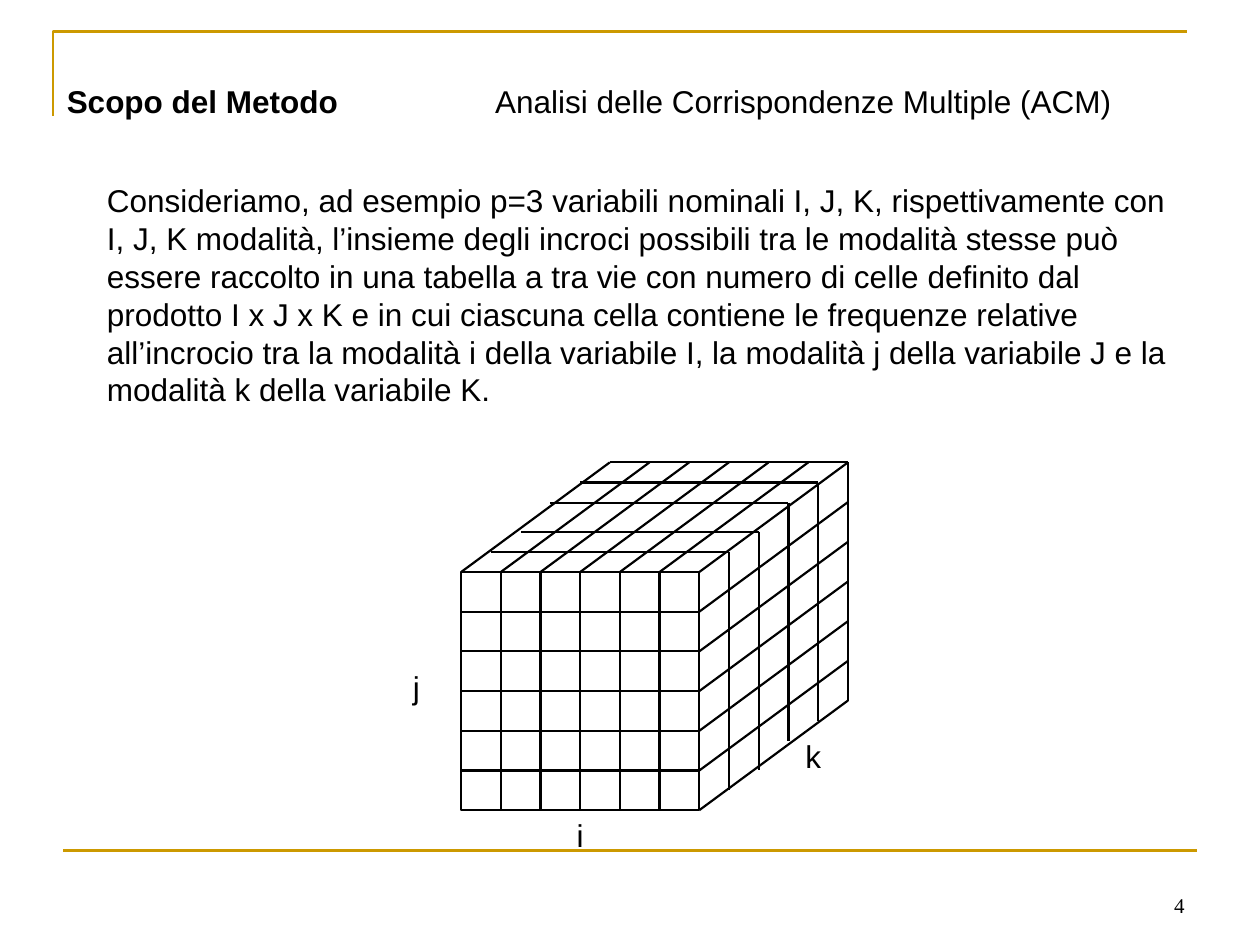
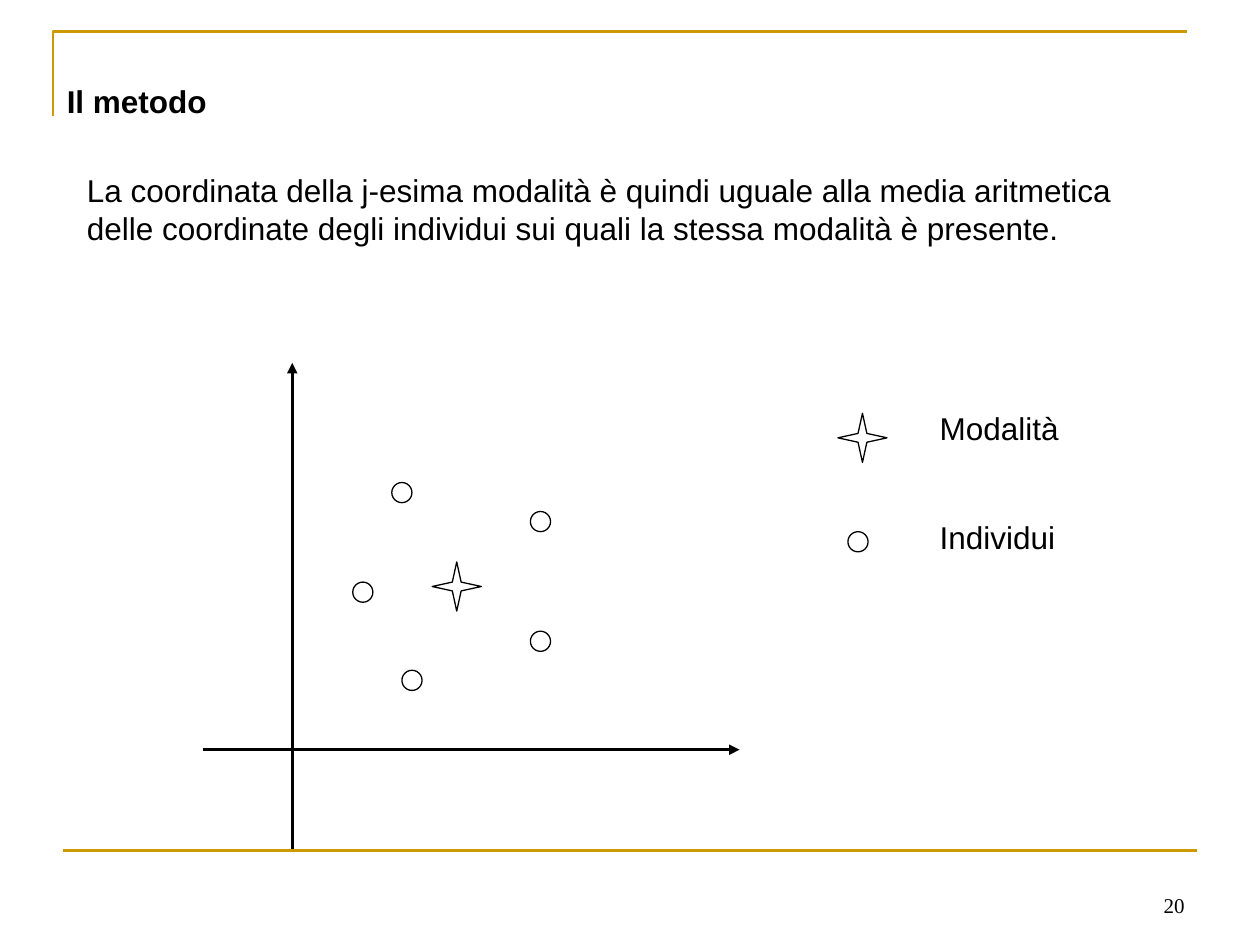
from lxml import etree
from pptx import Presentation
from pptx.dml.color import RGBColor
from pptx.enum.shapes import MSO_CONNECTOR, MSO_SHAPE
from pptx.enum.text import MSO_ANCHOR, MSO_AUTO_SIZE, PP_ALIGN
from pptx.oxml.ns import qn
from pptx.util import Inches, Pt

BLACK = RGBColor(0x00, 0x00, 0x00)
WHITE = RGBColor(0xFF, 0xFF, 0xFF)
GOLD = RGBColor(0xCC, 0x99, 0x00)
BODY_FONT = "Arial"
NUMBER_FONT = "Times New Roman"
TOP, LEFT, BOTTOM, RIGHT = range(4)  # connection sites of a rectangle

CUBE_CELLS = 6
CUBE_DEPTH = 1.18
CUBE_RISES = [0.16, 0.32, 0.55, 0.71, 0.87]  # height of each layer behind the front
DOT_SIZE = 0.16
STAR_SIZE = 0.39


# Shared drawing helpers
def place(shape, box):
    shape.left, shape.top, shape.width, shape.height = map(Inches, box)


def fill_text(shape, text, bold=False, size=18, font=BODY_FONT,
              align=PP_ALIGN.LEFT, anchor=MSO_ANCHOR.TOP):
    frame = shape.text_frame
    frame.word_wrap = True
    frame.auto_size = MSO_AUTO_SIZE.NONE
    frame.vertical_anchor = anchor
    frame.margin_left = frame.margin_right = Inches(0.1)
    frame.margin_top = frame.margin_bottom = Inches(0.05)
    paragraph = frame.paragraphs[0]
    paragraph.alignment = align
    paragraph.space_before = Pt(0)
    run = paragraph.add_run()
    run.text = text
    run.font.name = font
    run.font.size = Pt(size)
    run.font.bold = bold
    run.font.color.rgb = BLACK


def add_text(slide, box, text, **style):
    fill_text(slide.shapes.add_textbox(*map(Inches, box)), text, **style)


def add_line(slide, start, end, width=1.25, color=BLACK, arrow=False):
    connector = slide.shapes.add_connector(
        MSO_CONNECTOR.STRAIGHT, *map(Inches, (*start, *end)))
    connector.line.color.rgb = color
    connector.line.width = Pt(width)
    if arrow:
        line = connector.line._get_or_add_ln()
        etree.SubElement(line, qn("a:tailEnd"), type="triangle")
    etree.SubElement(connector._element.spPr, qn("a:effectLst"))
    return connector


def outline(shape, width, color=BLACK, fill=None):
    shape.shadow.inherit = False
    if fill is None:
        shape.fill.background()
    else:
        shape.fill.solid()
        shape.fill.fore_color.rgb = fill
    shape.line.color.rgb = color
    shape.line.width = Pt(width)


def add_outline_path(slide, points, width, color=BLACK, close=True):
    corners = [(Inches(x), Inches(y)) for x, y in points]
    builder = slide.shapes.build_freeform(*corners[0])
    builder.add_line_segments(corners[1:], close=close)
    outline(builder.convert_to_shape(), width, color)


# Frame, title and page number of every slide
def add_framed_slide(presentation, title, number):
    slide = presentation.slides.add_slide(presentation.slide_layouts[5])
    add_outline_path(slide, [(0.42, 0.92), (0.42, 0.25), (9.42, 0.25)],
                     1.5, GOLD, close=False)
    add_line(slide, (0.5, 6.75), (9.5, 6.75), 1.5, GOLD)
    place(slide.shapes.title, (0.43, 0.6, 7.64, 0.4))
    fill_text(slide.shapes.title, title, bold=True)
    add_text(slide, (7.17, 6.83, 2.33, 0.5), number, size=12, font=NUMBER_FONT,
             align=PP_ALIGN.RIGHT, anchor=MSO_ANCHOR.BOTTOM)
    return slide


# Three-way table drawn as a cube, placed by its front face
def add_cube(slide, left, top, side):
    right, bottom = left + side, top + side
    cell = side / CUBE_CELLS
    middle = CUBE_CELLS // 2
    back_rise = CUBE_RISES[-1]
    front = slide.shapes.add_shape(
        MSO_SHAPE.RECTANGLE, *map(Inches, (left, top, side, side)))
    outline(front, 1.25, fill=WHITE)

    # Grid of the front face
    for step in range(1, CUBE_CELLS):
        x, y = left + step * cell, top + step * cell
        column = add_line(slide, (x, top), (x, bottom))
        row = add_line(slide, (left, y), (right, y))
        if step == middle:
            column.begin_connect(front, TOP)
            column.end_connect(front, BOTTOM)
            row.begin_connect(front, LEFT)
            row.end_connect(front, RIGHT)

    # Layers behind the front, on the top and on the right face
    for layer, rise in enumerate(CUBE_RISES, start=1):
        shift = layer * CUBE_DEPTH / len(CUBE_RISES)
        corner = (right + shift, top - rise)
        add_line(slide, corner, (right + shift, bottom - rise))
        add_line(slide, corner, (left + shift, top - rise))

    # Edges running backwards
    for step in range(CUBE_CELLS + 1):
        x, y = left + step * cell, top + step * cell
        edge = add_line(slide, (x, top), (x + CUBE_DEPTH, top - back_rise))
        if step == middle:
            edge.begin_connect(front, TOP)
        if step > 0:
            edge = add_line(slide, (right, y), (right + CUBE_DEPTH, y - back_rise))
            if step == middle:
                edge.begin_connect(front, RIGHT)

    # Names of the three indices
    for box, index in [((left + 0.63, bottom, 0.63, 0.4), "i"),
                       ((left - 0.63, top + 0.71, 0.55, 0.4), "j"),
                       ((right + 0.63, top + 1.26, 0.55, 0.4), "k")]:
        add_text(slide, box, index, align=PP_ALIGN.CENTER)


# Markers of the scatter plot
def add_dot(slide, left, top):
    dot = slide.shapes.add_shape(
        MSO_SHAPE.OVAL, *map(Inches, (left, top, DOT_SIZE, DOT_SIZE)))
    outline(dot, 0.75)


def add_star(slide, left, top):
    half = STAR_SIZE / 2
    notch = 0.18 * half
    x, y = left + half, top + half
    add_outline_path(slide, [
        (x - half, y), (x - notch, y - notch), (x, y - half), (x + notch, y - notch),
        (x + half, y), (x + notch, y + notch), (x, y + half), (x - notch, y + notch),
    ], 0.75)


# Axes with one category among its individuals, placed by their origin
def add_scatter(slide, x, y):
    add_line(slide, (x, y + 0.79), (x, y - 3.07), 2, arrow=True)
    add_line(slide, (x - 0.71, y), (x + 3.55, y), 2, arrow=True)
    for right, up in [(0.79, 2.12), (1.89, 1.89), (0.48, 1.33),
                      (0.87, 0.63), (1.89, 0.94)]:
        add_dot(slide, x + right, y - up)
    add_star(slide, x + 1.11, y - 1.49)


def add_legend(slide, left, top):
    add_star(slide, left, top + 0.08)
    add_text(slide, (left + 0.71, top, 1.97, 0.4), "Modalità")
    add_dot(slide, left + 0.08, top + 1.02)
    add_text(slide, (left + 0.71, top + 0.86, 1.97, 0.4), "Individui")


def build_purpose_slide(presentation):
    slide = add_framed_slide(presentation, "Scopo del Metodo", "4")
    add_text(slide, (3.03, 0.6, 6.69, 0.4),
             "Analisi delle Corrispondenze Multiple (ACM)", align=PP_ALIGN.CENTER)
    add_text(slide, (0.75, 1.39, 8.66, 1.9),
             "Consideriamo, ad esempio p=3 variabili nominali I, J, K, rispettivamente "
             "con I, J, K modalità, l’insieme degli incroci possibili tra le modalità "
             "stesse può essere raccolto in una tabella a tra vie con numero di celle "
             "definito dal prodotto I x J x K e in cui ciascuna cella contiene le "
             "frequenze relative all’incrocio tra la modalità i della variabile I, la "
             "modalità j della variabile J e la modalità k della variabile K.")
    add_cube(slide, 3.66, 4.54, 1.89)


def build_method_slide(presentation):
    slide = add_framed_slide(presentation, "Il metodo", "20")
    add_text(slide, (0.59, 1.31, 8.58, 0.7),
             "La coordinata della j-esima modalità è quindi uguale alla media aritmetica "
             "delle coordinate degli individui sui quali la stessa modalità è presente.")
    add_scatter(slide, 2.32, 5.95)
    add_legend(slide, 6.65, 3.2)


def main():
    presentation = Presentation()
    presentation.slide_width = Inches(10)
    presentation.slide_height = Inches(7.5)
    build_purpose_slide(presentation)
    build_method_slide(presentation)
    presentation.save("out.pptx")


if __name__ == "__main__":
    main()
